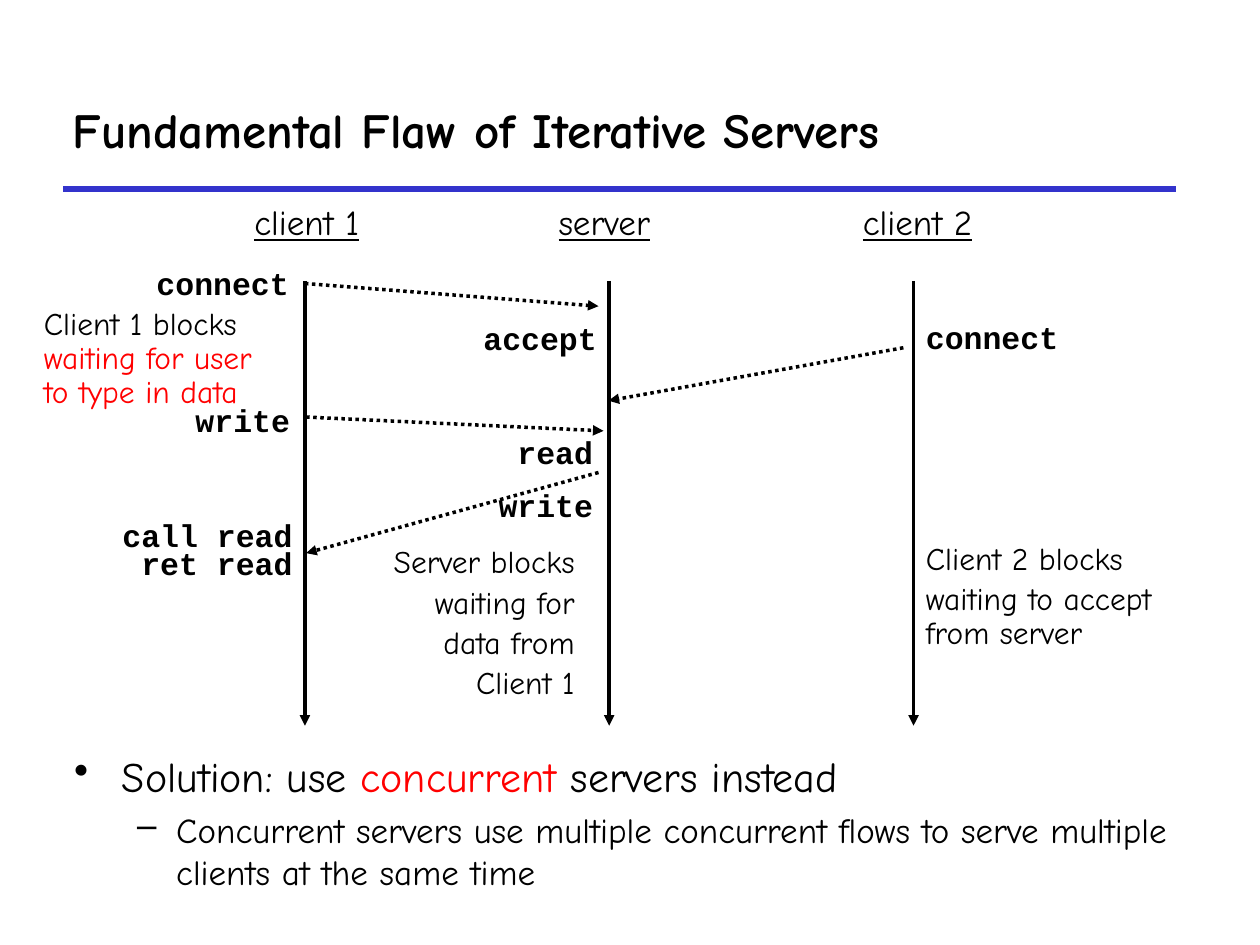
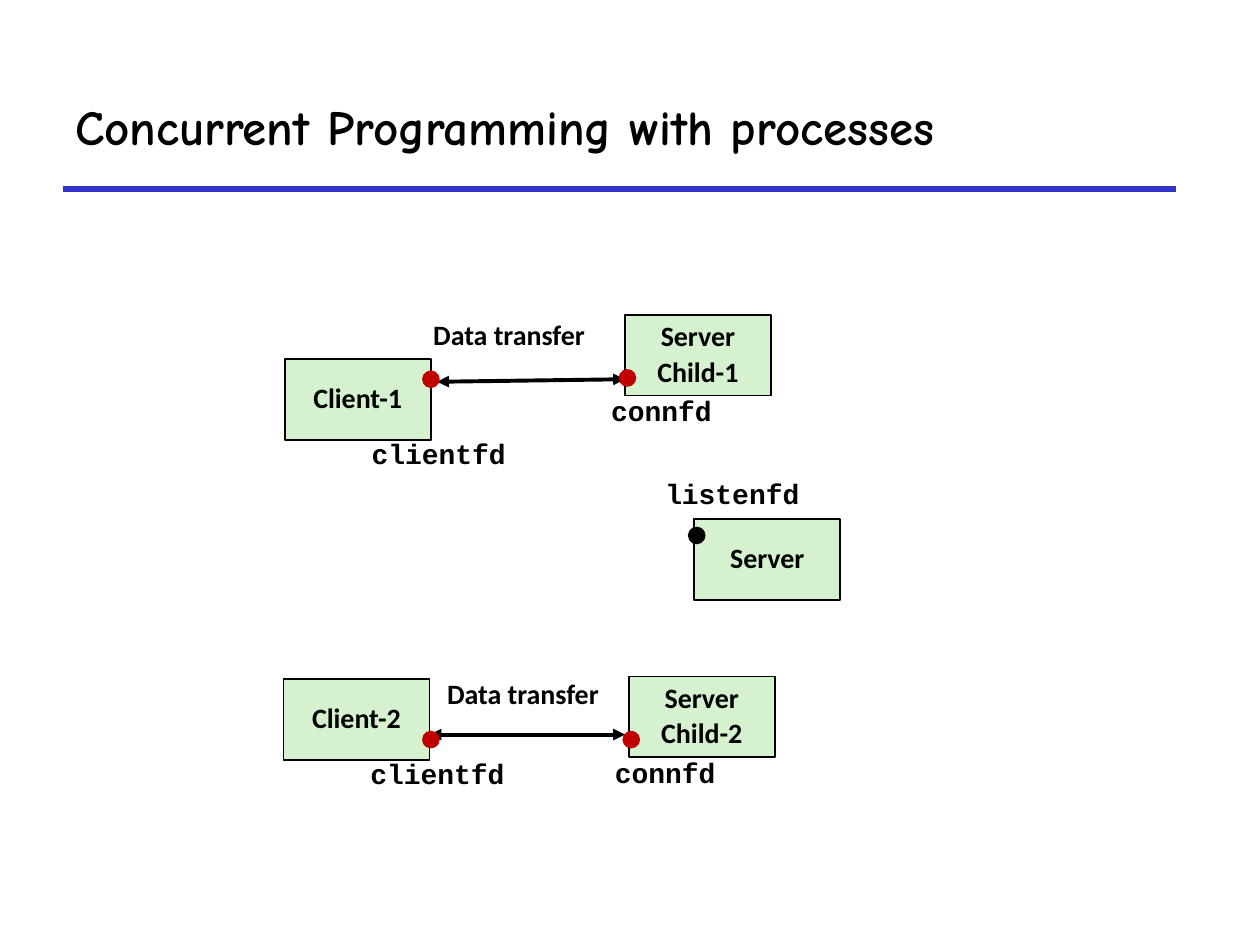
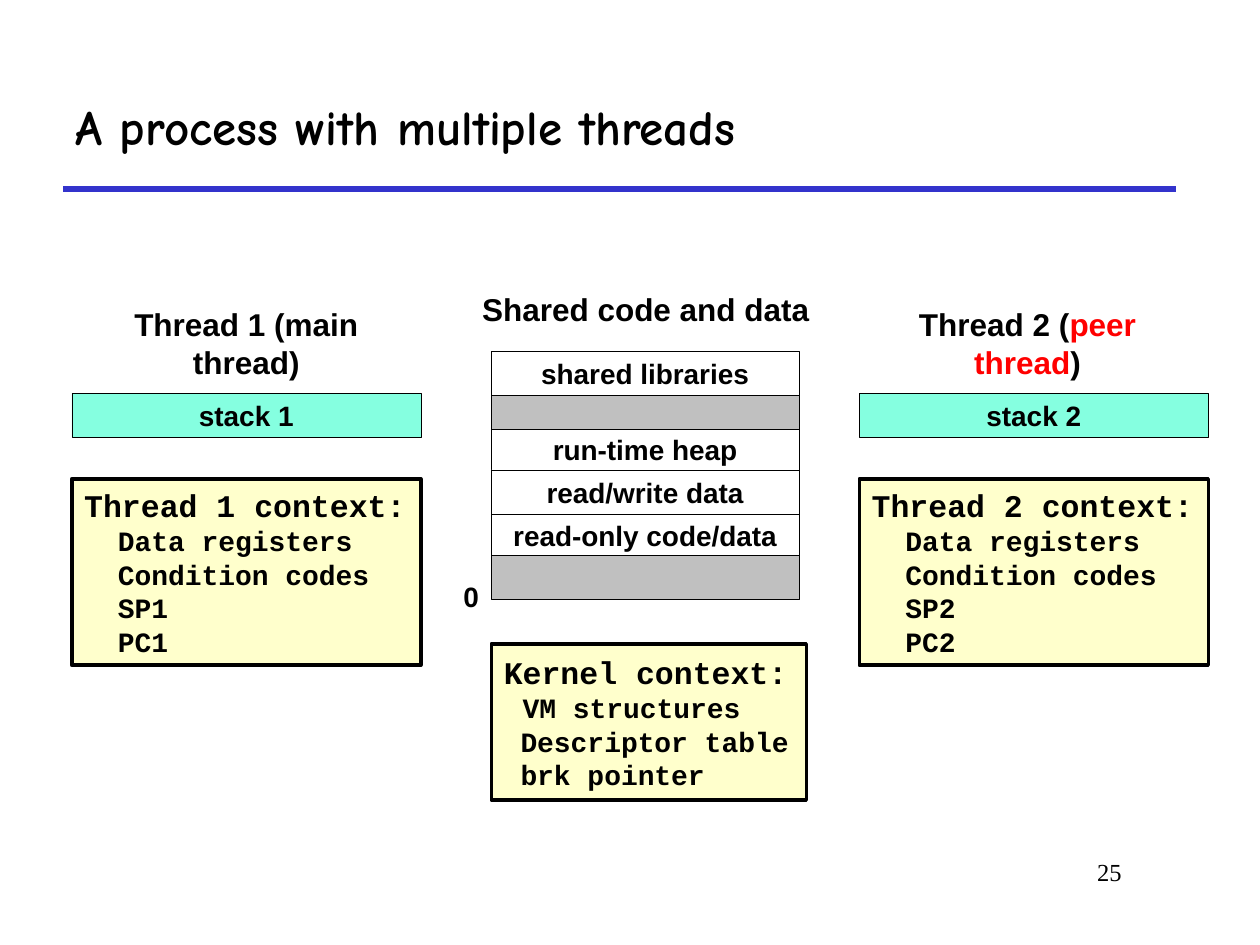
from dataclasses import dataclass

from lxml.etree import SubElement
from pptx import Presentation
from pptx.dml.color import RGBColor
from pptx.enum.dml import MSO_LINE
from pptx.enum.shapes import MSO_CONNECTOR, MSO_SHAPE
from pptx.enum.text import MSO_ANCHOR, PP_ALIGN
from pptx.oxml.ns import qn
from pptx.util import Inches, Pt

COLUMNS, ROWS = 100, 75  # square grid cells on the slide
LEFT, CENTER, RIGHT = PP_ALIGN.LEFT, PP_ALIGN.CENTER, PP_ALIGN.RIGHT


@dataclass(frozen=True)
class Style:
    name: str
    size: int
    bold: bool = False
    underline: bool = False
    line_spacing: float = 1.0
    space_share: float = 0.0  # space before, as a share of the type size


@dataclass(frozen=True)
class Theme:
    black: str = "000000"
    white: str = "FFFFFF"
    red: str = "FF0000"
    rule: str = "3333CC"
    process: str = "D5F1CF"
    socket: str = "C00000"
    gap: str = "C0C0C0"
    stack: str = "85FFE0"
    context: str = "FFFFCC"
    title: Style = Style("Comic Neue", 28, bold=True)
    body: Style = Style("Comic Neue", 24, space_share=0.2)
    body_detail_size: int = 20
    note: Style = Style("Comic Neue", 18, line_spacing=0.9, space_share=0.2)
    actor: Style = Style("Comic Neue", 20, underline=True, line_spacing=0.9)
    call: Style = Style("Courier New", 18, bold=True, line_spacing=0.9)
    descriptor: Style = Style("Courier New", 16, bold=True, line_spacing=0.9)
    process_name: Style = Style("Calibri", 16, bold=True, line_spacing=0.9, space_share=0.2)
    heading: Style = Style("Arial", 18, bold=True)
    segment: Style = Style("Arial", 16, bold=True)
    context_text: Style = Style("Courier New", 16, bold=True)
    context_title_size: int = 18
    page: Style = Style("Times New Roman", 14)


THEME = Theme()


@dataclass(frozen=True)
class Box:
    """A rectangle in grid cells."""
    left: float
    top: float
    width: float
    height: float

    def area(self, left, top, width, height):
        return Box(self.left + left, self.top + top, width, height)

    def point(self, column, row):
        return self.left + column, self.top + row

    def lengths(self):
        return [cells(value) for value in (self.left, self.top, self.width, self.height)]


@dataclass(frozen=True)
class Line:
    """One paragraph: pieces are (text, colour) pairs."""
    pieces: list
    size: int = 0
    margin: float = 0
    hanging: float = 0
    bullet: str = ""


def cells(value):
    return Inches(round(value / 10, 3))


def apply(target, values):
    for name, value in values.items():
        setattr(target, name, value)


def write(frame, lines, style, align=LEFT, anchor=MSO_ANCHOR.TOP, wrap=False):
    apply(frame, {"word_wrap": wrap, "vertical_anchor": anchor})
    for index, line in enumerate(lines):
        if isinstance(line, str):
            line = Line([(line, THEME.black)])
        size = line.size or style.size
        paragraph = frame.paragraphs[0] if index == 0 else frame.add_paragraph()
        properties = paragraph._p.get_or_add_pPr()
        properties.set("marL", str(cells(line.margin)))
        properties.set("indent", str(cells(-line.hanging)))
        if line.bullet:
            SubElement(properties, qn("a:buChar")).set("char", line.bullet)
        apply(paragraph, {
            "alignment": align,
            "line_spacing": style.line_spacing,
            "space_before": Pt(size * style.space_share if index else 0),
        })
        for text, colour in line.pieces:
            for number, row in enumerate(text.split("\n")):
                if number:
                    paragraph.add_line_break()
                run = paragraph.add_run()
                run.text = row
                apply(run.font, {"name": style.name, "size": Pt(size), "bold": style.bold,
                                 "underline": style.underline})
                run.font.color.rgb = RGBColor.from_string(colour)


def add_text(slide, box, lines, style, **layout):
    write(slide.shapes.add_textbox(*box.lengths()).text_frame, lines, style, **layout)


def add_shape(slide, box, fill, line_width=0, kind=MSO_SHAPE.RECTANGLE):
    shape = slide.shapes.add_shape(kind, *box.lengths())
    shape.shadow.inherit = False
    shape.fill.solid()
    shape.fill.fore_color.rgb = RGBColor.from_string(fill)
    if line_width:
        shape.line.color.rgb = RGBColor.from_string(THEME.black)
        shape.line.width = Pt(line_width)
    else:
        shape.line.fill.background()
    return shape


def add_line(slide, start, end, colour=THEME.black, width=2.0, dash=None, arrows=()):
    """Arrows holds headEnd and tailEnd, in that order, where wanted."""
    connector = slide.shapes.add_connector(
        MSO_CONNECTOR.STRAIGHT, *[cells(value) for value in (*start, *end)])
    connector.line.color.rgb = RGBColor.from_string(colour)
    apply(connector.line, {"width": Pt(width), "dash_style": dash})
    outline = connector.line._get_or_add_ln()
    for arrow in arrows:
        SubElement(outline, qn(f"a:{arrow}")).set("type", "triangle")
    SubElement(connector._element.spPr, qn("a:effectLst"))


def add_titled_slide(presentation, title, box=Box(5, 5, 88.3, 10)):
    slide = presentation.slides.add_slide(presentation.slide_layouts[6])
    add_line(slide, (5, 15), (93.3, 15), THEME.rule, 3)
    add_text(slide, box, [title], THEME.title, anchor=MSO_ANCHOR.MIDDLE, wrap=True)
    return slide


def draw_sequence(slide, box):
    """Lifelines spread over the box, with the messages and calls between them."""
    actors = ("client 1", "server", "client 2")
    step = box.width / (len(actors) - 1)
    for index, actor in enumerate(actors):
        column = index * step
        add_line(slide, box.point(column, 0), box.point(column, box.height), arrows=["tailEnd"])
        add_text(slide, box.area(column - 5, -6.5, 11, 4), [actor], THEME.actor)

    messages = [
        ((0, 0.2), (23.3, 2)),
        ((47.5, 5.3), (24.1, 9.5)),
        ((0.1, 10.8), (23.7, 11.9)),
        ((23.3, 15.2), (0.1, 21.6)),
    ]
    for start, end in messages:
        add_line(slide, box.point(*start), box.point(*end),
                 dash=MSO_LINE.ROUND_DOT, arrows=["tailEnd"])

    calls = [
        (0, -0.3, -1.5, "connect"), (0, -0.2, 9.4, "write"),
        (0, 0, 18.5, "call read"), (0, 0, 20.7, "ret read"),
        (1, 0, 2.9, "accept"), (1, -0.3, 11.9, "read"), (1, -0.3, 16.1, "write"),
    ]
    for index, shift, row, call in calls:
        width = 1.5 * len(call) + 2
        add_text(slide, box.area(index * step + shift - width, row, width, 4),
                 [call], THEME.call, align=RIGHT)
    add_text(slide, box.area(2 * step, 2.8, 12.6, 4), ["connect"], THEME.call)


def draw_blocking_notes(slide, box):
    client_1 = Line([("Client 1 blocks ", THEME.black),
                     ("waiting for user to type in data", THEME.red)])
    add_text(slide, box.area(0, 0, 20.8, 9.2), [client_1], THEME.note, wrap=True)
    add_text(slide, box.area(25.8, 18.9, 18.3, 13.7),
             ["Server blocks", "waiting for", "data from", "Client 1"],
             THEME.note, align=RIGHT)
    add_text(slide, box.area(70, 18.6, 22.2, 9.8),
             ["Client 2 blocks", "waiting to accept\nfrom server"], THEME.note)


def draw_solution(slide, box):
    lines = [
        Line([("Solution: use ", THEME.black), ("concurrent", THEME.red),
              (" servers instead", THEME.black)], margin=3.8, hanging=3.8, bullet="•"),
        Line([("Concurrent servers use multiple concurrent flows to serve multiple "
               "clients at the same time", THEME.black)],
             size=THEME.body_detail_size, margin=8.1, hanging=3.1, bullet="–"),
    ]
    add_text(slide, box, lines, THEME.body, wrap=True)


def draw_process(slide, box, names, descriptor, socket, label, colour=THEME.socket):
    """A process with its socket dot and descriptor, both placed from the box corner."""
    shape = add_shape(slide, box, THEME.process, 1)
    write(shape.text_frame, names, THEME.process_name, CENTER, MSO_ANCHOR.MIDDLE)
    add_shape(slide, box.area(*socket, 1.4, 1.4), colour, kind=MSO_SHAPE.OVAL)
    add_text(slide, box.area(*label, 1.33 * len(descriptor) + 2, 3.5), [descriptor],
             THEME.descriptor, align=CENTER, anchor=MSO_ANCHOR.MIDDLE)


def draw_connection(slide, box, number, client_row, socket, transfer, link):
    """A client at the left of the box joined to its server child at the right."""
    width, height = 11.6, 6.4
    start, end = link
    add_line(slide, box.point(*start), box.point(*end), width=2.25,
             arrows=["headEnd", "tailEnd"])
    add_text(slide, box.area(*transfer, 14.2, 3.4), ["Data transfer"], THEME.process_name,
             align=CENTER, anchor=MSO_ANCHOR.MIDDLE)
    draw_process(slide, box.area(0, client_row, width, height), [f"Client-{number}"],
                 "clientfd", socket, (5.9, 5.9))
    draw_process(slide, box.area(box.width - width, 0, width, height),
                 ["Server", f"Child-{number}"], "connfd", (-0.5, 4.3), (-2.1, 6))


def draw_context(slide, box, title, items):
    shape = add_shape(slide, box, THEME.context, 2)
    lines = [Line([(title, THEME.black)], size=THEME.context_title_size)]
    lines += [Line([(item, THEME.black)], margin=margin) for item, margin in items]
    write(shape.text_frame, lines, THEME.context_text, anchor=MSO_ANCHOR.MIDDLE)


def draw_segment(slide, box, name, fill):
    shape = add_shape(slide, box, fill, 0.25)
    if name:
        write(shape.text_frame, [name], THEME.segment, CENTER, MSO_ANCHOR.MIDDLE)


def draw_thread(slide, box, number, heading, shift=0.0):
    add_text(slide, box.area(shift, 0, box.width, 4), [Line(heading)], THEME.heading,
             align=CENTER, anchor=MSO_ANCHOR.MIDDLE)
    draw_segment(slide, box.area(0, 6, box.width, 3.5), f"stack {number}", THEME.stack)
    registers = ("Data registers", "Condition codes", f"SP{number}", f"PC{number}")
    draw_context(slide, box.area(0, 12.8, box.width, 14.8), f"Thread {number} context:",
                 [(register, 2.67) for register in registers])


def draw_shared_memory(slide, box):
    add_text(slide, box.area(-2.1, 0, 28.7, 4), ["Shared code and data"], THEME.heading,
             align=CENTER, anchor=MSO_ANCHOR.MIDDLE)
    segments = [("shared libraries", 3.5), ("", 2.7), ("run-time heap", 3.2),
                ("read/write data", 3.5), ("read-only code/data", 3.3), ("", 3.5)]
    row = 5.4
    for name, height in segments:
        draw_segment(slide, box.area(0, row, box.width, height), name,
                     THEME.white if name else THEME.gap)
        row += height
    add_text(slide, box.area(-3.2, row - 2.1, 3.3, 3.7), ["0"], THEME.segment)
    draw_context(slide, box.area(0, 28.6, 25, 12.4), "Kernel context:",
                 [("VM structures", 1.5), ("Descriptor table", 1.33), ("brk pointer", 1.33)])


def build_flaw_slide(presentation):
    slide = add_titled_slide(presentation, "Fundamental Flaw of Iterative Servers",
                             Box(4.8, 5.4, 88.2, 9.6))
    draw_solution(slide, Box(4.9, 59.1, 92.6, 12.6))
    draw_blocking_notes(slide, Box(2.5, 24, 92.2, 32.6))
    draw_sequence(slide, Box(24.2, 22.3, 48.3, 35.3))


def build_processes_slide(presentation):
    slide = add_titled_slide(presentation, "Concurrent Programming with processes")
    draw_connection(slide, Box(22.6, 25, 38.6, 9.9), 1, client_row=3.5, socket=(10.9, 0.9),
                    transfer=(10.7, 0), link=((12.1, 5.3), (27, 5.1)))
    draw_process(slide, Box(55.1, 41.2, 11.6, 6.4), ["Server"], "listenfd",
                 (-0.5, 0.6), (-3.3, -3.6), THEME.black)
    draw_connection(slide, Box(22.5, 53.7, 39, 6.6), 2, client_row=0.2, socket=(11, 4.1),
                    transfer=(11.9, -0.2), link=((11.6, 4.6), (27.1, 4.6)))


def build_threads_slide(presentation):
    slide = add_titled_slide(presentation, "A process with multiple threads")
    draw_thread(slide, Box(5.7, 25.2, 27.7, 27.6), 1,
                [("Thread 1 (main thread)", THEME.black)])
    draw_shared_memory(slide, Box(39, 22.5, 24.4, 41))
    draw_thread(slide, Box(68.2, 25.2, 27.7, 27.6), 2,
                [("Thread 2 (", THEME.black), ("peer thread", THEME.red),
                 (")", THEME.black)], shift=-0.5)
    add_text(slide, Box(75.8, 67.5, 14.2, 5), ["25"], THEME.page, align=RIGHT, wrap=True)


def main():
    presentation = Presentation()
    apply(presentation, {"slide_width": cells(COLUMNS), "slide_height": cells(ROWS)})
    for build in (build_flaw_slide, build_processes_slide, build_threads_slide):
        build(presentation)
    presentation.save("out.pptx")


if __name__ == "__main__":
    main()
